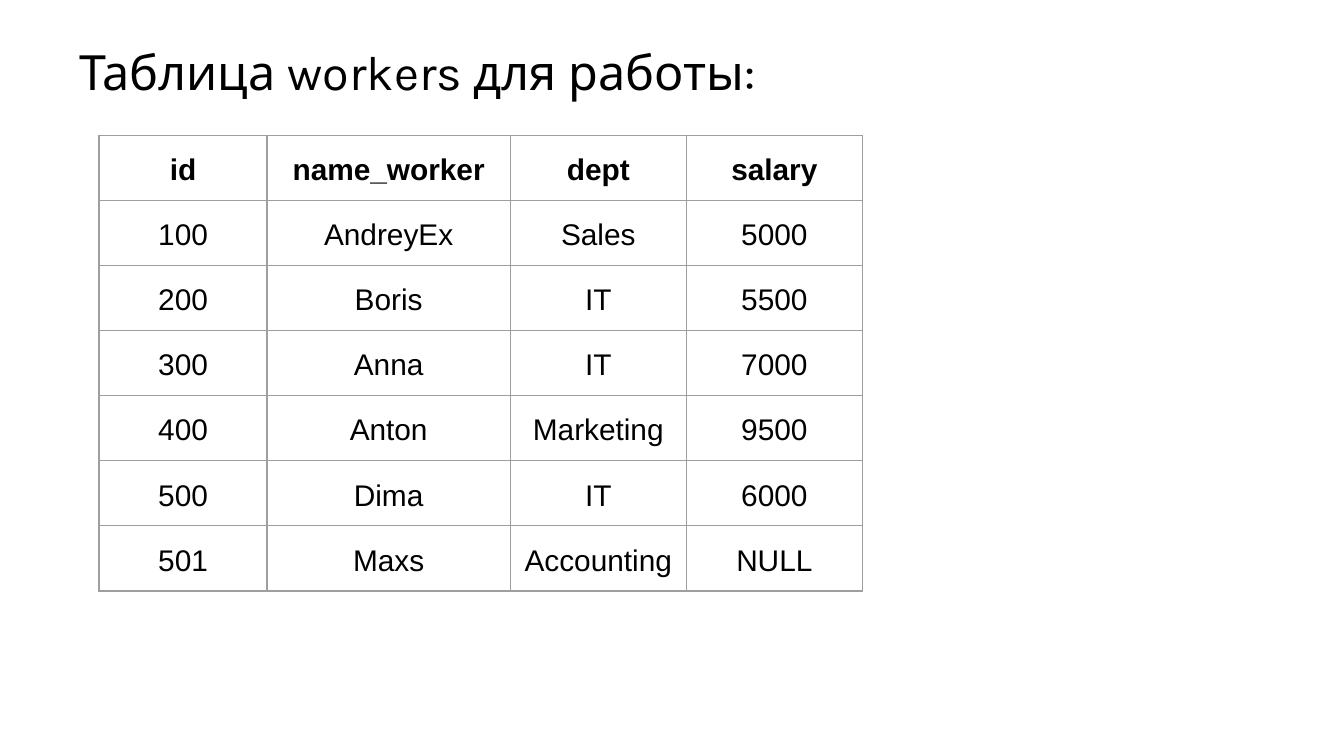
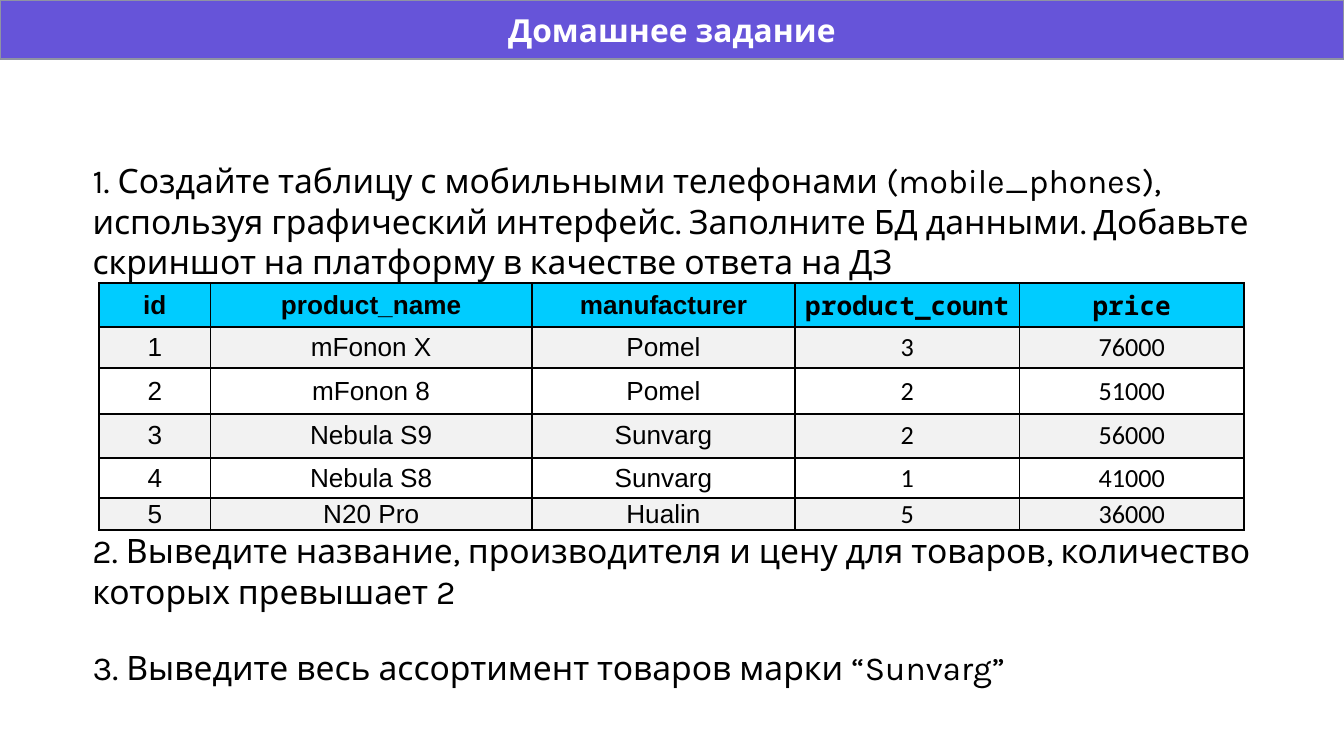
from lxml.etree import SubElement
from pptx import Presentation
from pptx.dml.color import RGBColor
from pptx.enum.shapes import MSO_SHAPE as Shape
from pptx.enum.text import MSO_ANCHOR as Anchor, MSO_AUTO_SIZE as Auto, PP_ALIGN as Align
from pptx.oxml.ns import qn
from pptx.util import Inches, Pt

HUES = {"ink": "000000", "paper": "FFFFFF", "band": "6654D9", "edge": "8F93A3",
        "grid": "9E9E9E", "head": "00CCFF", "stripe": "F2F2F2"}
FONT = "Karla"

TITLE = "Таблица workers для работы:"
STAFF = [
    ("id", "name_worker", "dept", "salary"),
    ("100", "AndreyEx", "Sales", "5000"),
    ("200", "Boris", "IT", "5500"),
    ("300", "Anna", "IT", "7000"),
    ("400", "Anton", "Marketing", "9500"),
    ("500", "Dima", "IT", "6000"),
    ("501", "Maxs", "Accounting", "NULL"),
]
BAND = "Домашнее задание"
PHONES = [
    ("id", "product_name", "manufacturer", "product_count", "price"),
    ("1", "mFonon X", "Pomel", "3", "76000"),
    ("2", "mFonon 8", "Pomel", "2", "51000"),
    ("3", "Nebula S9", "Sunvarg", "2", "56000"),
    ("4", "Nebula S8", "Sunvarg", "1", "41000"),
    ("5", "N20 Pro", "Hualin", "5", "36000"),
]
# Top, width and height, then the wording of each task
TASKS = [
    (10.92, 88.8, 11.1, "1. Создайте таблицу с мобильными телефонами (mobile_phones), "
     "используя графический интерфейс. Заполните БД данными. "
     "Добавьте скриншот на платформу в качестве ответа на ДЗ"),
    (38.45, 90, 8.1, "2. Выведите название, производителя и цену для товаров, "
     "количество которых превышает 2"),
    (47.15, 88.8, 5, "3. Выведите весь ассортимент товаров марки “Sunvarg”"),
]

# Places are in hundredths of the slide's width, both across and down
LEFT, INSET = 5.9, 7.37
STAFF_LOOK = {"top": 10.07, "cols": [12.5, 18.1, 13.1, 13.1], "rows": [4.84] * 7,
              "pad": 1, "line": ("grid", 0.75), "size": 16, "lead": 1.15,
              "anchor": Anchor.TOP}
PHONE_LOOK = {"top": 21.05, "cols": [8.3, 23.9, 19.6, 16.7, 16.7],
              "rows": [3.28, 3.07, 3.4, 3.28, 3, 2.35],
              "pad": 0, "line": ("ink", 1), "size": 14, "anchor": Anchor.MIDDLE,
              "fills": ("head", "stripe"),
              "fonts": ("Noto Sans Mono", "Calibri"), "alt": 3}

deck = Presentation()
deck.slide_width = Inches(10)
deck.slide_height = deck.slide_width * 9 // 16
UNIT = deck.slide_width / 100


def span(n):
    return round(n * UNIT)


def tint(name):
    return RGBColor.from_string(HUES[name])


def put(item, **look):
    for key, val in look.items():
        setattr(item, key, val)


def pad(item, n):
    sides = ("left", "top", "right", "bottom")
    put(item, **{f"margin_{side}": span(n) for side in sides})


def write(frame, text, size, hue="ink", name=FONT, bold=False, align=Align.LEFT, lead=None):
    par = frame.paragraphs[0]
    put(par, alignment=align, line_spacing=lead)
    run = par.add_run()
    run.text = text
    put(run.font, size=Pt(size), name=name, bold=bold)
    run.font.color.rgb = tint(hue)


def add_text(page, at, text, size, gap=1, fit=Auto.SHAPE_TO_FIT_TEXT):
    frame = page.shapes.add_textbox(*map(span, at)).text_frame
    put(frame, word_wrap=True, auto_size=fit)
    pad(frame, gap)
    write(frame, text, size)


def add_band(page, text):
    band = page.shapes.add_shape(Shape.RECTANGLE, 0, 0, span(100), span(4.4))
    band.shadow.inherit = False
    band.fill.solid()
    band.fill.fore_color.rgb = tint("band")
    band.line.color.rgb = tint("edge")
    band.line.width = Pt(0.75)
    band.text_frame.vertical_anchor = Anchor.MIDDLE
    pad(band.text_frame, 1)
    write(band.text_frame, text, 17, "paper", bold=True, align=Align.CENTER)


def rule(cell, hue, width):
    """Draw the four borders; they must come before the fill in the cell."""
    props = cell._tc.get_or_add_tcPr()
    for side in ("lnL", "lnR", "lnT", "lnB"):
        line = SubElement(props, qn(f"a:{side}"), w=str(Pt(width)))
        SubElement(SubElement(line, qn("a:solidFill")), qn("a:srgbClr"), val=HUES[hue])


def add_grid(page, data, look):
    cols, rows = look["cols"], look["rows"]
    at = (INSET, look["top"], sum(cols), sum(rows))
    table = page.shapes.add_table(len(rows), len(cols), *map(span, at)).table
    put(table, first_row=False, horz_banding=False)
    for col, wide in zip(table.columns, cols):
        col.width = span(wide)
    for r, (row, tall) in enumerate(zip(table.rows, rows)):
        row.height = span(tall)
        for c, (cell, text) in enumerate(zip(row.cells, data[r])):
            cell.vertical_anchor = look["anchor"]
            pad(cell, look["pad"])
            rule(cell, *look["line"])
            if "fills" in look and (r == 0 or r % 2):
                cell.fill.solid()
                cell.fill.fore_color.rgb = tint(look["fills"][r > 0])
            else:
                cell.fill.background()
            name = look["fonts"][r > 0] if c >= look.get("alt", len(cols)) else "Arial"
            write(cell.text_frame, text, look["size"], name=name, bold=r == 0,
                  align=Align.CENTER, lead=look.get("lead"))


def add_page():
    return deck.slides.add_slide(deck.slide_layouts[6])


def main():
    page = add_page()
    add_text(page, (LEFT, 3.1, 71.3, 5.5), TITLE, 26, 0, Auto.NONE)
    add_grid(page, STAFF, STAFF_LOOK)

    page = add_page()
    add_band(page, BAND)
    for top, wide, tall, text in TASKS:
        add_text(page, (LEFT, top, wide, tall), text, 18)
    add_grid(page, PHONES, PHONE_LOOK)
    deck.save("out.pptx")


if __name__ == "__main__":
    main()
